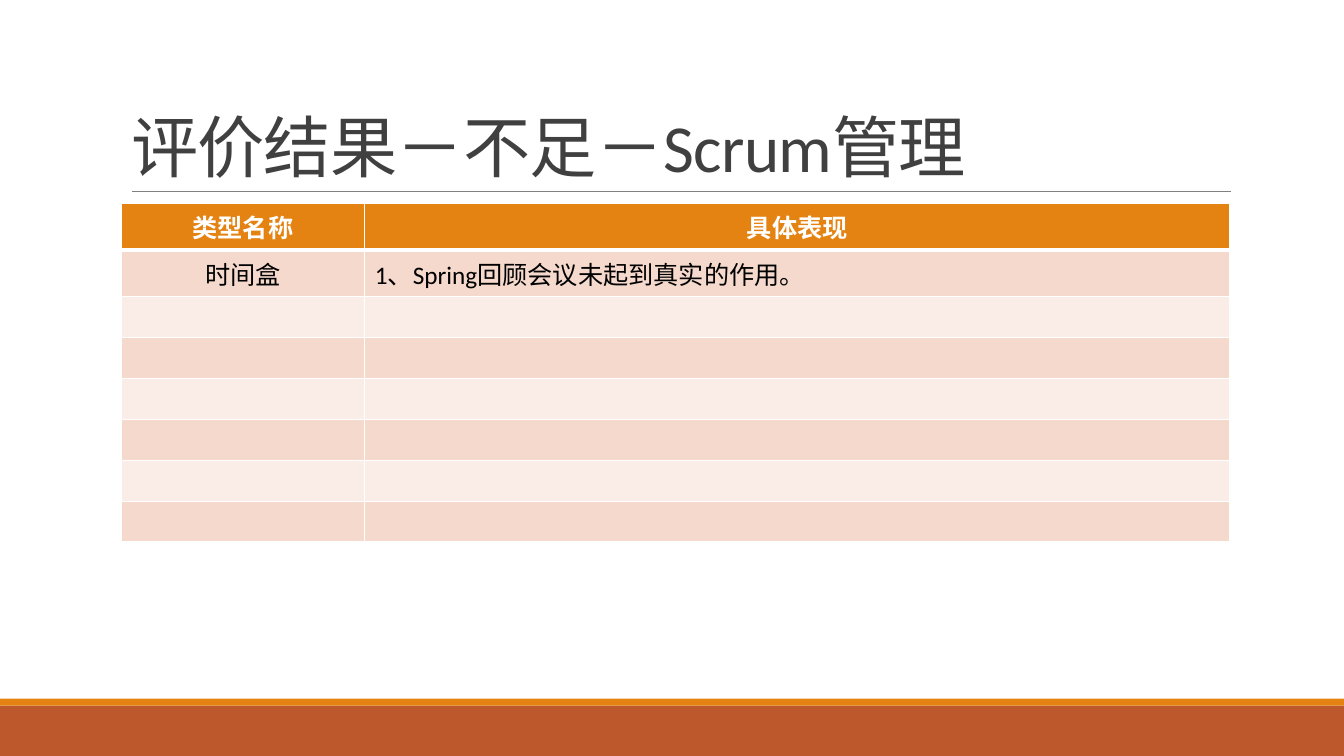
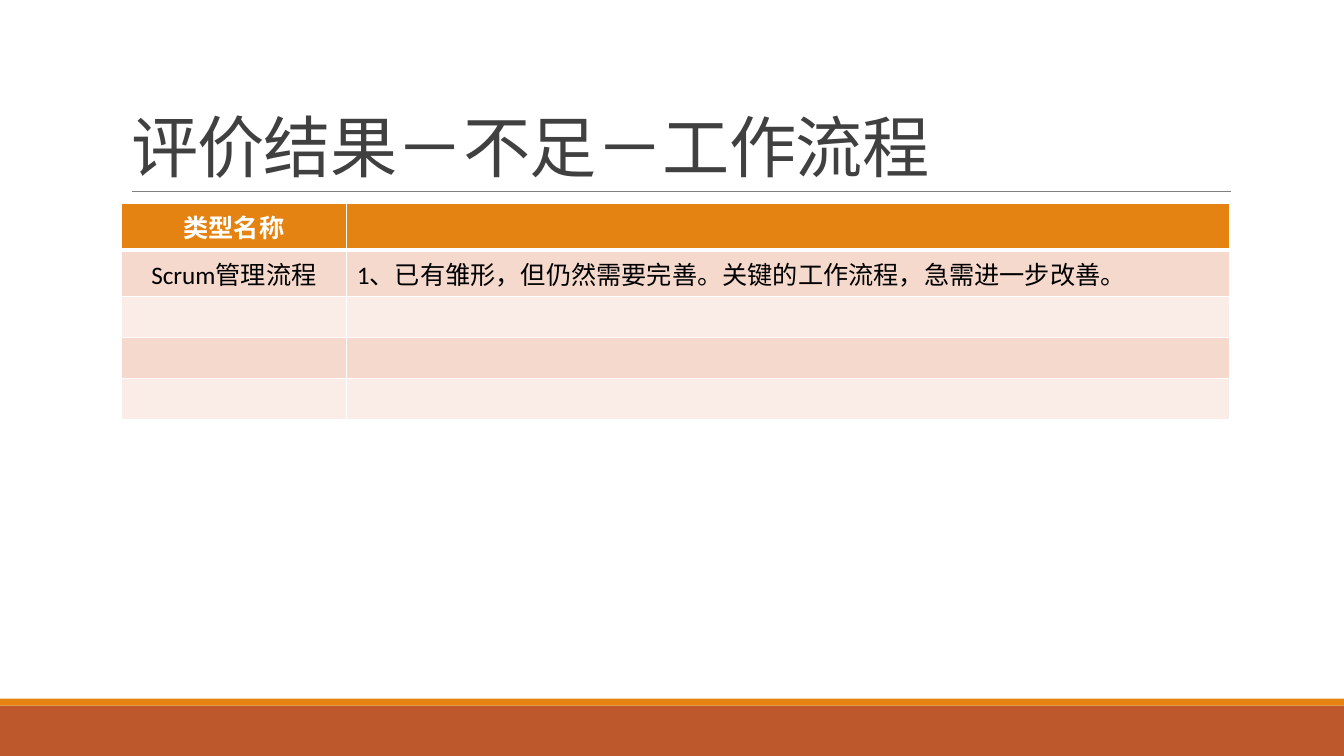
from pptx import Presentation
from pptx.dml.color import RGBColor
from pptx.enum.lang import MSO_LANGUAGE_ID as Language
from pptx.enum.shapes import MSO_CONNECTOR as Connector, MSO_SHAPE as Shape
from pptx.enum.text import MSO_ANCHOR as Anchor, PP_ALIGN as Align
from pptx.oxml.ns import qn
from pptx.util import Pt
from lxml.etree import SubElement

# Shared look, lengths in points
FONT = "Calibri"
WHITE, BLACK, DARK, GREY = "FFFFFF", "000000", "404040", "808080"
ORANGE, RUST = "E48312", "BD582C"
ROW_FILLS = ("F5D9CC", "FAEDE7")
PAGE_WIDTH, PAGE_HEIGHT = 960, 540
LEFT, CONTENT_WIDTH = 86.4, 792
TABLE_TOP, ROW_HEIGHT = 145.4, 29.2
BANDS = ((504, 36, RUST), (499, 5, ORANGE))


def color(hex_text):
    return RGBColor.from_string(hex_text)


def add_span(para, text, size, hex_text, bold=False):
    span = para.add_run()
    span.text = text
    font = span.font
    font.name, font.size, font.bold = FONT, Pt(size), bold
    font.color.rgb = color(hex_text)
    font.language_id = Language.SIMPLIFIED_CHINESE
    return span


def add_band(page, top, height, hex_text):
    band = page.shapes.add_shape(
        Shape.RECTANGLE, 0, Pt(top), Pt(PAGE_WIDTH), Pt(height))
    band.shadow.inherit = False
    band.fill.solid()
    band.fill.fore_color.rgb = color(hex_text)
    band.line.fill.background()


def add_rule(page, left, right, top):
    rule = page.shapes.add_connector(
        Connector.STRAIGHT, Pt(left), Pt(top), Pt(right), Pt(top))
    rule.line.color.rgb = color(GREY)
    rule.line.width = Pt(0.5)
    SubElement(rule._element.spPr, qn("a:effectLst"))


def set_title(page, text):
    title = page.shapes.title
    title.left, title.top = Pt(LEFT), Pt(22.3)
    title.width, title.height = Pt(CONTENT_WIDTH), Pt(114.5)
    frame = title.text_frame
    frame.word_wrap = True
    frame.vertical_anchor = Anchor.BOTTOM
    para = frame.paragraphs[0]
    para.alignment = Align.LEFT
    para.line_spacing = 0.85
    span = add_span(para, text, 48, DARK)
    span.font._element.set("spc", "-50")


def set_borders(cell, top, bottom):
    properties = cell._tc.get_or_add_tcPr()
    for side, width in (("L", 1), ("R", 1), ("T", top), ("B", bottom)):
        border = SubElement(properties, qn(f"a:ln{side}"), w=str(Pt(width)))
        fill = SubElement(border, qn("a:solidFill"))
        SubElement(fill, qn("a:srgbClr"), val=WHITE)


def fill_cell(cell, text, row, column):
    header = row == 0
    # The heavy border separates the header from the body
    set_borders(cell, 3 if row == 1 else 1, 3 if header else 1)
    cell.fill.solid()
    cell.fill.fore_color.rgb = color(ORANGE if header else ROW_FILLS[(row - 1) % 2])
    if text:
        para = cell.text_frame.paragraphs[0]
        para.alignment = Align.CENTER if header or column == 0 else Align.LEFT
        add_span(para, text, 18, WHITE if header else BLACK, header)


def add_table(page, first_width, row_count, texts):
    table = page.shapes.add_table(
        row_count, 2, Pt(LEFT), Pt(TABLE_TOP),
        Pt(CONTENT_WIDTH), Pt(ROW_HEIGHT * row_count)).table
    for column, width in zip(table.columns, (first_width, CONTENT_WIDTH - first_width)):
        column.width = Pt(width)
    for row in range(row_count):
        table.rows[row].height = Pt(ROW_HEIGHT)
        row_texts = texts[row] if row < len(texts) else ("", "")
        for column, text in enumerate(row_texts):
            fill_cell(table.cell(row, column), text, row, column)


def add_page(deck, title, first_width, row_count, texts):
    page = deck.slides.add_slide(deck.slide_layouts[5])
    for band in BANDS:
        add_band(page, *band)
    add_rule(page, 94.3, 879, 136.8)
    set_title(page, title)
    add_table(page, first_width, row_count, texts)


def main():
    deck = Presentation()
    deck.slide_width, deck.slide_height = Pt(PAGE_WIDTH), Pt(PAGE_HEIGHT)

    # Shortcomings: Scrum management
    add_page(deck, "评价结果－不足－Scrum管理", 174.2, 8, (
        ("类型名称", "具体表现"),
        ("时间盒", "1、Spring回顾会议未起到真实的作用。"),
    ))

    # Shortcomings: workflow
    add_page(deck, "评价结果－不足－工作流程", 161.3, 5, (
        ("类型名称", ""),
        ("Scrum管理流程", "1、已有雏形，但仍然需要完善。关键的工作流程，急需进一步改善。"),
    ))
    deck.save("out.pptx")


if __name__ == "__main__":
    main()
